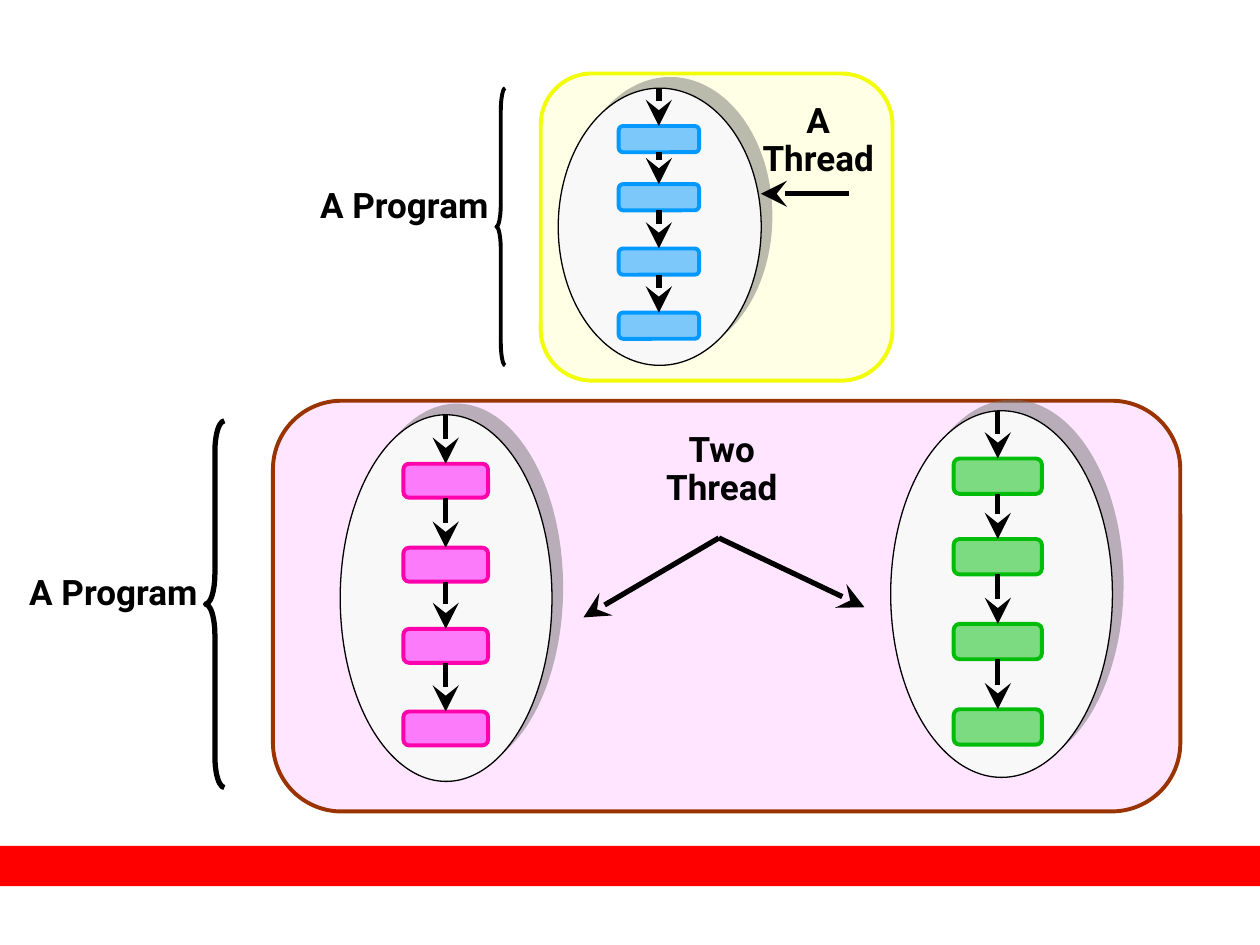
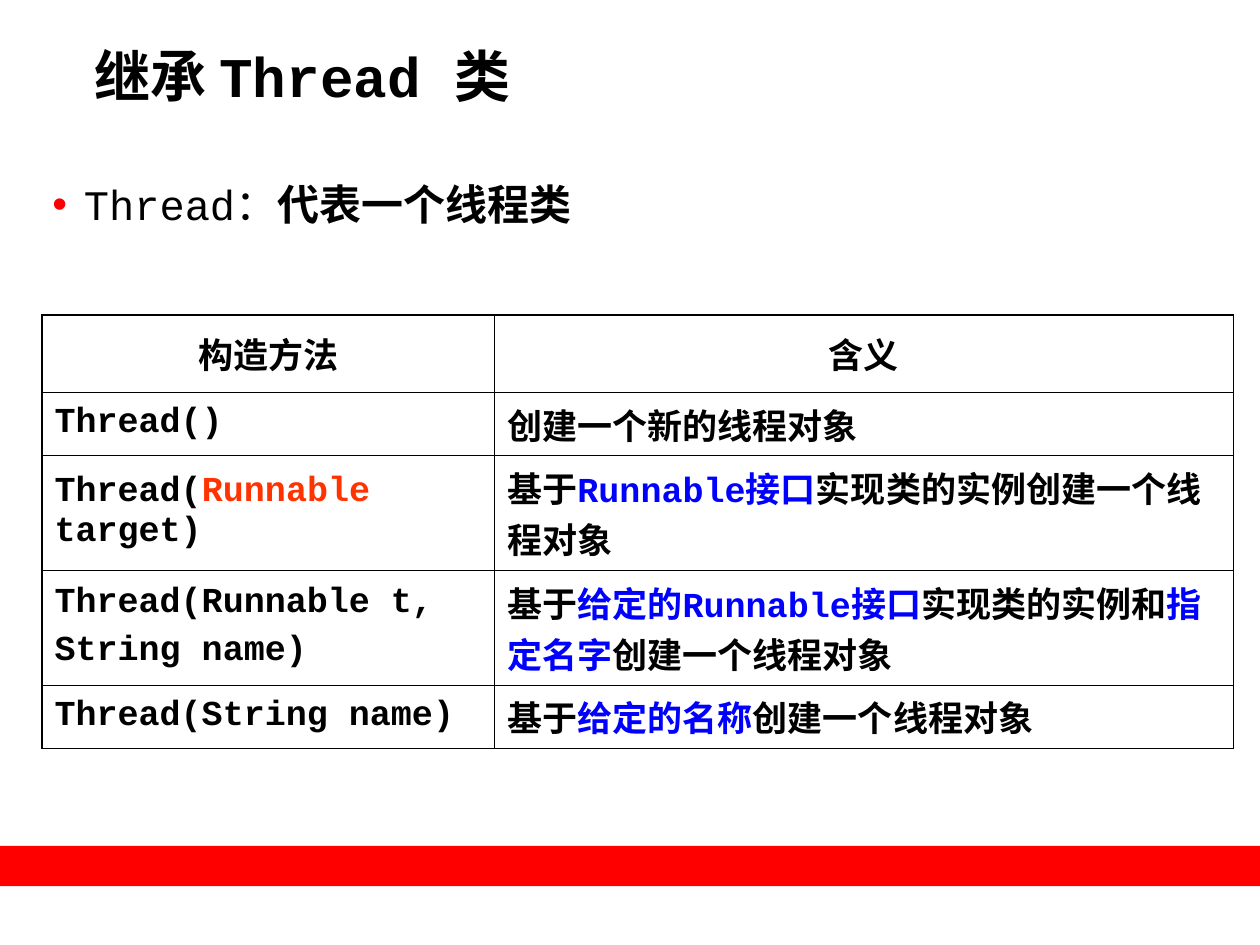
from lxml.etree import SubElement
from pptx import Presentation
from pptx.dml.color import RGBColor
from pptx.enum.shapes import MSO_CONNECTOR as CONN, MSO_SHAPE as SHAPE
from pptx.enum.text import MSO_ANCHOR as ANCHOR, PP_ALIGN as ALIGN
from pptx.oxml.ns import qn
from pptx.util import Pt

BLACK, RED, BLUE, ORANGE = "000000", "FF0000", "0000FF", "FF3300"
SANS, MONO = "Roboto", "Courier New"


def rgb(value):
    return RGBColor.from_string(value)


def add_xml(parent, tag, **attrs):
    return SubElement(parent, qn(tag), attrs)


def add_bullet(p, color, indent):
    pPr = p._p.get_or_add_pPr()
    pPr.set("marL", str(Pt(indent)))
    pPr.set("indent", str(-Pt(indent)))
    add_xml(add_xml(pPr, "a:buClr"), "a:srgbClr", val=color)
    add_xml(pPr, "a:buFont", typeface="Arial")
    add_xml(pPr, "a:buChar", char="•")


def write(tf, paragraphs, font=MONO, size=20, bold=True, align=None,
          spacing=None, before=0, bullet=None):
    """Fill a text frame; a paragraph is a string or a list of (text, format) runs."""
    for i, runs in enumerate(paragraphs):
        p = tf.add_paragraph() if i else tf.paragraphs[0]
        if align is not None:
            p.alignment = align
        if spacing:
            p.line_spacing = spacing
        if i and before:
            p.space_before = Pt(before)
        if bullet:
            add_bullet(p, bullet, 18)
        for text, form in [(runs, {})] if isinstance(runs, str) else runs:
            r = p.add_run()
            r.text = text
            r.font.name, r.font.size = font, Pt(size)
            r.font.bold = form.get("bold", bold)
            r.font.color.rgb = rgb(form.get("color", BLACK))


class Deck:
    """Holds the presentation, its style and the current slide."""

    def __init__(self):
        self.prs = Presentation()
        self.prs.slide_width, self.prs.slide_height = Pt(720), Pt(540)

    def new_slide(self):
        self.slide = self.prs.slides.add_slide(self.prs.slide_layouts[6])
        self.shape(SHAPE.RECTANGLE, (0, 483.4, 720, 23), RED)

    def shape(self, kind, box, fill=None, line=None, width=2.25, alpha=None):
        sp = self.slide.shapes.add_shape(kind, *map(Pt, box))
        sp.shadow.inherit = False
        if fill:
            sp.fill.solid()
            sp.fill.fore_color.rgb = rgb(fill)
        else:
            sp.fill.background()
        if alpha:
            color = sp._element.spPr.find(qn("a:solidFill"))[0]
            add_xml(color, "a:alpha", val=str(alpha * 1000))
        if line:
            sp.line.color.rgb = rgb(line)
            sp.line.width = Pt(width)
        else:
            sp.line.fill.background()
        return sp

    def rounded(self, box, fill, line):
        return self.shape(SHAPE.ROUNDED_RECTANGLE, box, fill, line, alpha=50)

    def shadowed_oval(self, box):
        sp = self.shape(SHAPE.OVAL, box, "F8F8F8", BLACK, 0.75)
        shadow = add_xml(sp._element.spPr.find(qn("a:effectLst")), "a:outerShdw",
                         dist=str(Pt(8.5)), dir="18900000", algn="ctr", rotWithShape="0")
        add_xml(add_xml(shadow, "a:srgbClr", val="777777"), "a:alpha", val="50000")

    def brace(self, box, width):
        sp = self.shape(SHAPE.LEFT_BRACE, box, line=BLACK, width=width)
        sp.adjustments[0] = box[3] / 12 / box[2]

    def arrow(self, x1, y1, x2, y2):
        cn = self.slide.shapes.add_connector(CONN.STRAIGHT, *map(Pt, (x1, y1, x2, y2)))
        cn.line.color.rgb = rgb(BLACK)
        cn.line.width = Pt(3)
        add_xml(cn.line._get_or_add_ln(), "a:tailEnd", type="stealth", w="lg", len="lg")
        add_xml(cn._element.spPr, "a:effectLst")
        return cn

    def text(self, box, paragraphs, **form):
        tf = self.slide.shapes.add_textbox(*map(Pt, box)).text_frame
        tf.word_wrap = True
        tf.margin_left = tf.margin_right = tf.margin_top = tf.margin_bottom = 0
        write(tf, paragraphs, **form)
        return tf

    def label(self, box, *lines):
        tf = self.text(box, lines, font=SANS, align=ALIGN.CENTER, spacing=0.9)
        tf.vertical_anchor = ANCHOR.MIDDLE

    def thread(self, oval, left, size, tops, fill, line):
        """Draw an oval with a chain of steps, an arrow leading into each."""
        self.shadowed_oval(oval)
        center, above = left + size[0] / 2, None
        for top in tops:
            step = self.rounded((left, top, *size), fill, line)
            cn = self.arrow(center, oval[1], center, top)
            if above:
                cn.begin_connect(above, 2)
            cn.end_connect(step, 0)
            above = step

    def table(self, left, top, widths, heights, rows):
        frame = self.slide.shapes.add_table(len(rows), len(widths), Pt(left), Pt(top),
                                            Pt(sum(widths)), Pt(sum(heights)))
        tbl = frame.table
        tbl.first_row = tbl.horz_banding = False
        for col, width in zip(tbl.columns, widths):
            col.width = Pt(width)
        for i, (row, height) in enumerate(zip(rows, heights)):
            tbl.rows[i].height = Pt(height)
            for j, paragraphs in enumerate(row):
                cell = tbl.cell(i, j)
                cell.fill.background()
                cell.vertical_anchor = ANCHOR.MIDDLE
                cell.margin_left = cell.margin_right = Pt(7.2)
                cell.margin_top = cell.margin_bottom = Pt(3.6)
                write(cell.text_frame, paragraphs, before=5,
                      align=ALIGN.LEFT if i else ALIGN.CENTER)
                self.borders(cell, L=j == 0, R=False, T=i == 0, B=False)

    def borders(self, cell, **thick):
        """Draw the four sides of a cell, each thick or thin."""
        tcPr = cell._tc.get_or_add_tcPr()
        for i, (side, is_thick) in enumerate(thick.items()):
            ln = add_xml(tcPr, "a:ln" + side, w=str(Pt(1.08 if is_thick else 0.45)))
            add_xml(add_xml(ln, "a:solidFill"), "a:srgbClr", val=BLACK)
            tcPr.insert(i, ln)


def threads_slide(deck):
    deck.new_slide()
    deck.rounded((309, 42, 201, 175.5), "FFFFCC", "F1FD09")
    deck.thread((319, 50.4, 116, 158.4), 353.5, (46, 15), (72, 105.2, 142, 178.6),
                "0399FF", "0399FF")
    deck.arrow(485, 110.7, 434.8, 110.7)
    deck.label((427.6, 63.4, 80, 34.6), "A", "Thread")
    deck.brace((283.7, 50.4, 5, 158.4), 2.25)
    deck.label((176, 87, 110, 62.6), "A Program")

    deck.rounded((156, 229, 518.5, 234.7), "FFCCFF", "993300")
    deck.thread((509, 234.7, 126.7, 209.5), 545, (50.4, 20.2),
                (262, 308, 356.5, 405.3), "01BD0A", "01BD0A")
    deck.thread((194.4, 237, 121, 209.5), 230.5, (48.4, 19.4),
                (265, 313, 359.4, 406.6), "FF00FF", "FF00AD")
    for tip in (333.4, 352.8), (494, 347):
        deck.arrow(410.8, 307.4, *tip)
    deck.label((360, 234.3, 105, 68.4), "Two", "Thread")
    deck.brace((117.4, 240.5, 10.8, 209.5), 3)
    deck.label((9.8, 308.2, 110, 62.6), "A Program")


def constructors_slide(deck):
    def blue(text):
        return text, {"color": BLUE}

    def plain(text):
        return text, {}

    deck.new_slide()
    deck.text((54, 23.5, 648, 54), ["继承 Thread 类"], size=32)
    deck.text((30, 102, 648, 62.6), [[("Thread：", {"bold": False}), plain("代表一个线程类")]],
              size=24, bullet="FD0000")
    creates = plain("创建一个线程对象")
    rows = [
        (["构造方法"], ["含义"]),
        (["Thread()"], ["创建一个新的线程对象"]),
        ([[plain("Thread("), ("Runnable", {"color": ORANGE}), plain(" target)")]],
         [[plain("基于"), blue("Runnable接口"), plain("实现类的实例创建一个线程对象")]]),
        (["Thread(Runnable t,", "String name)"],
         [[plain("基于"), blue("给定的Runnable接口"), plain("实现类的实例和"),
           blue("指定名字"), creates]]),
        (["Thread(String name)"], [[plain("基于"), blue("给定的名称"), creates]]),
    ]
    deck.table(24, 180, (258.7, 422), (44, 36, 65.7, 65.7, 36), rows)


def main():
    deck = Deck()
    threads_slide(deck)
    constructors_slide(deck)
    deck.prs.save("out.pptx")


if __name__ == "__main__":
    main()
